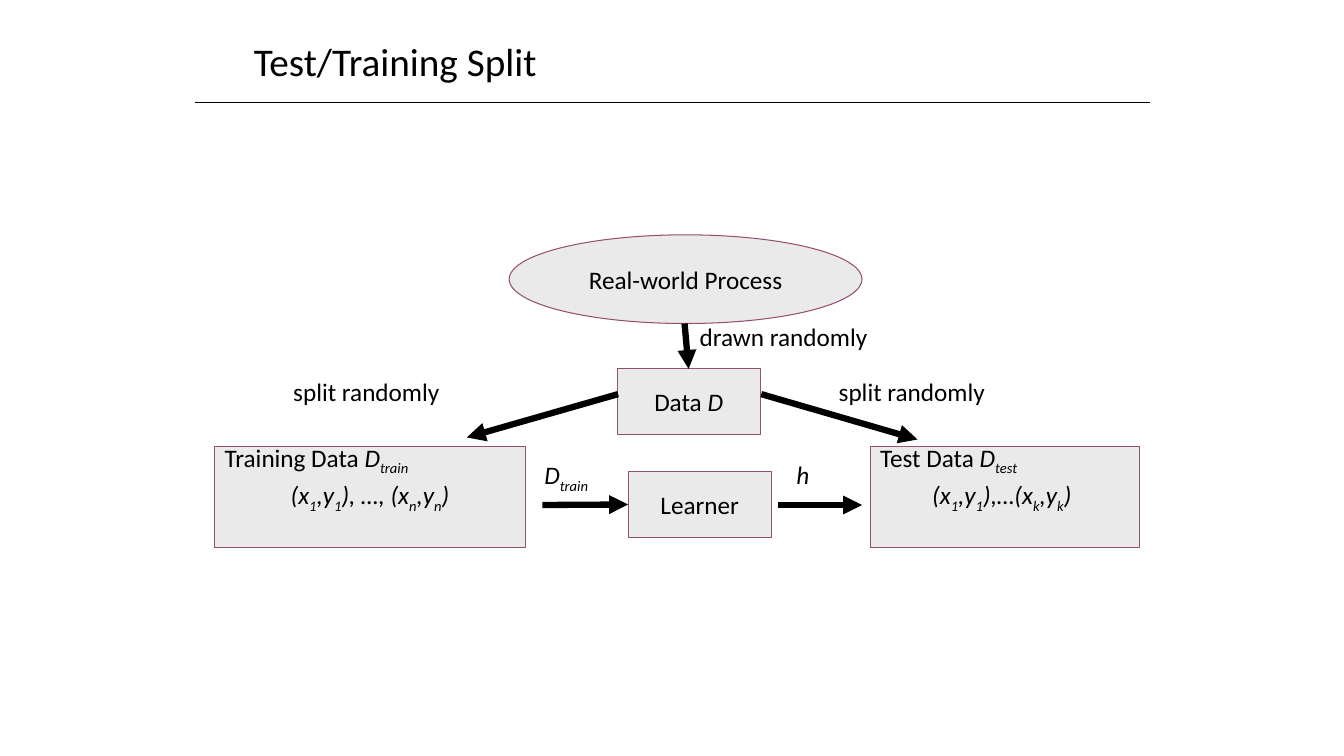
from lxml.etree import SubElement
from pptx import Presentation
from pptx.dml.color import RGBColor
from pptx.enum.shapes import MSO_CONNECTOR as Connector, MSO_SHAPE as Shape
from pptx.enum.text import MSO_ANCHOR as Anchor, MSO_AUTO_SIZE as AutoSize, PP_ALIGN as Align
from pptx.oxml.ns import qn
from pptx.util import Inches, Pt

COLUMNS, ROWS, CELL = 133.3, 75, 0.1
BLACK, GREY, PLUM = "000000", "EAEAEA", "954F72"
FORMATS = {
    "plain": {"italic": False},
    "italic": {"italic": True},
    "sub": {"italic": True},
}
DATA_ROW, SPLIT_ROW, SET_ROW, SYMBOL_ROW, ARROW_ROW = 36.6, 36.8, 44.3, 45.1, 50.1
SMALL_BOX = (14.2, 6.5)
LABEL_HEIGHT = 4

TITLE = ((24.2, 3.6, 85, 5.5), [("Test/Training Split", "plain")])
NODES = {
    "process": (Shape.OVAL, (50.5, 23.3, 35, 8.8), [("Real-world Process", "plain")]),
    "training": (Shape.RECTANGLE, (21.3, SET_ROW, 30.8, 10), [
        ("(x", "italic"), ("1", "sub"), (",y", "italic"), ("1", "sub"),
        ("), …, (x", "italic"), ("n", "sub"), (",y", "italic"), ("n", "sub"), (")", "italic")]),
    "learner": (Shape.RECTANGLE, (62.3, 46.8, *SMALL_BOX), [("Learner", "plain")]),
    "test": (Shape.RECTANGLE, (86.3, SET_ROW, 26.7, 10), [
        ("(x", "italic"), ("1", "sub"), (",y", "italic"), ("1", "sub"),
        ("),…(x", "italic"), ("k", "sub"), (",y", "italic"), ("k", "sub"), (") ", "italic")]),
    "data": (Shape.RECTANGLE, (61.2, DATA_ROW, *SMALL_BOX), [("Data ", "plain"), ("D", "italic")]),
}
LABELS = [
    (21.3, 43.4, 20.9, [("Training Data ", "plain"), ("D", "italic"), ("train", "sub")]),
    (86.3, 43.4, 25.2, [("Test Data ", "plain"), ("D", "italic"), ("test", "sub")]),
    (28.1, SPLIT_ROW, 16.7, [("split randomly", "plain")]),
    (82.2, SPLIT_ROW, 16.7, [("split randomly", "plain")]),
    (78, SYMBOL_ROW, 3.3, [("h", "italic")]),
    (53, SYMBOL_ROW, 6.8, [("D", "italic"), ("train", "sub")]),
    (68.4, 31.4, 18.9, [("drawn randomly", "plain")]),
]
LINES = [
    ((61.3, 39.1), (46.3, 43.4), 4.5, None),
    ((75.5, 39.1), (91, 43.6), 4.5, None),
    ((53.8, ARROW_ROW), (62.3, ARROW_ROW), 4.5, ("learner", 1)),
    ((77.2, ARROW_ROW), (85.5, ARROW_ROW), 4.5, None),
    ((67.9, 32.1), (68.3, DATA_ROW), 4.5, ("data", 0)),
    ((19.3, 10.2), (114.1, 10.2), 0.75, None),
]


def cells(*counts):
    return [Inches(count * CELL) for count in counts]


def color(value):
    return RGBColor.from_string(value)


def write(shape, runs, size=18, **frame_format):
    frame = shape.text_frame
    for name, value in frame_format.items():
        setattr(frame, name, value)
    paragraph = frame.paragraphs[0]
    for text, style in runs:
        run = paragraph.add_run()
        run.text = text
        for name, value in {"name": "Calibri", "size": Pt(size), **FORMATS[style]}.items():
            setattr(run.font, name, value)
        run.font.color.rgb = color(BLACK)
        if style == "sub":
            run._r.get_or_add_rPr().set("baseline", "-25000")
    return paragraph


def add_node(slide, kind, place, runs):
    shape = slide.shapes.add_shape(kind, *cells(*place))
    shape.shadow.inherit = False
    shape.fill.solid()
    shape.fill.fore_color.rgb = color(GREY)
    shape.line.color.rgb = color(PLUM)
    shape.line.width = Pt(0.75)
    paragraph = write(shape, runs, word_wrap=False, vertical_anchor=Anchor.MIDDLE)
    paragraph.alignment = Align.CENTER
    return shape


def add_line(slide, nodes, start, end, width, target):
    line = slide.shapes.add_connector(Connector.STRAIGHT, *cells(*start, *end))
    if target:
        name, side = target
        line.end_connect(nodes[name], side)
    line.line.color.rgb = color(BLACK)
    line.line.width = Pt(width)
    if width > 1:
        SubElement(line.line._get_or_add_ln(), qn("a:tailEnd"), type="triangle")
    SubElement(line._element.spPr, qn("a:effectLst"))


def main():
    """Build the test/training split slide."""
    presentation = Presentation()
    presentation.slide_width, presentation.slide_height = cells(COLUMNS, ROWS)
    slide = presentation.slides.add_slide(presentation.slide_layouts[6])

    place, runs = TITLE
    title = slide.shapes.add_textbox(*cells(*place))
    write(title, runs, 28, word_wrap=True, vertical_anchor=Anchor.MIDDLE).line_spacing = 0.9

    nodes = {name: add_node(slide, *node) for name, node in NODES.items()}
    for line in LINES:
        add_line(slide, nodes, *line)
    for left, top, width, runs in LABELS:
        label = slide.shapes.add_textbox(*cells(left, top, width, LABEL_HEIGHT))
        write(label, runs, word_wrap=False, auto_size=AutoSize.SHAPE_TO_FIT_TEXT)

    presentation.save("out.pptx")


if __name__ == "__main__":
    main()
